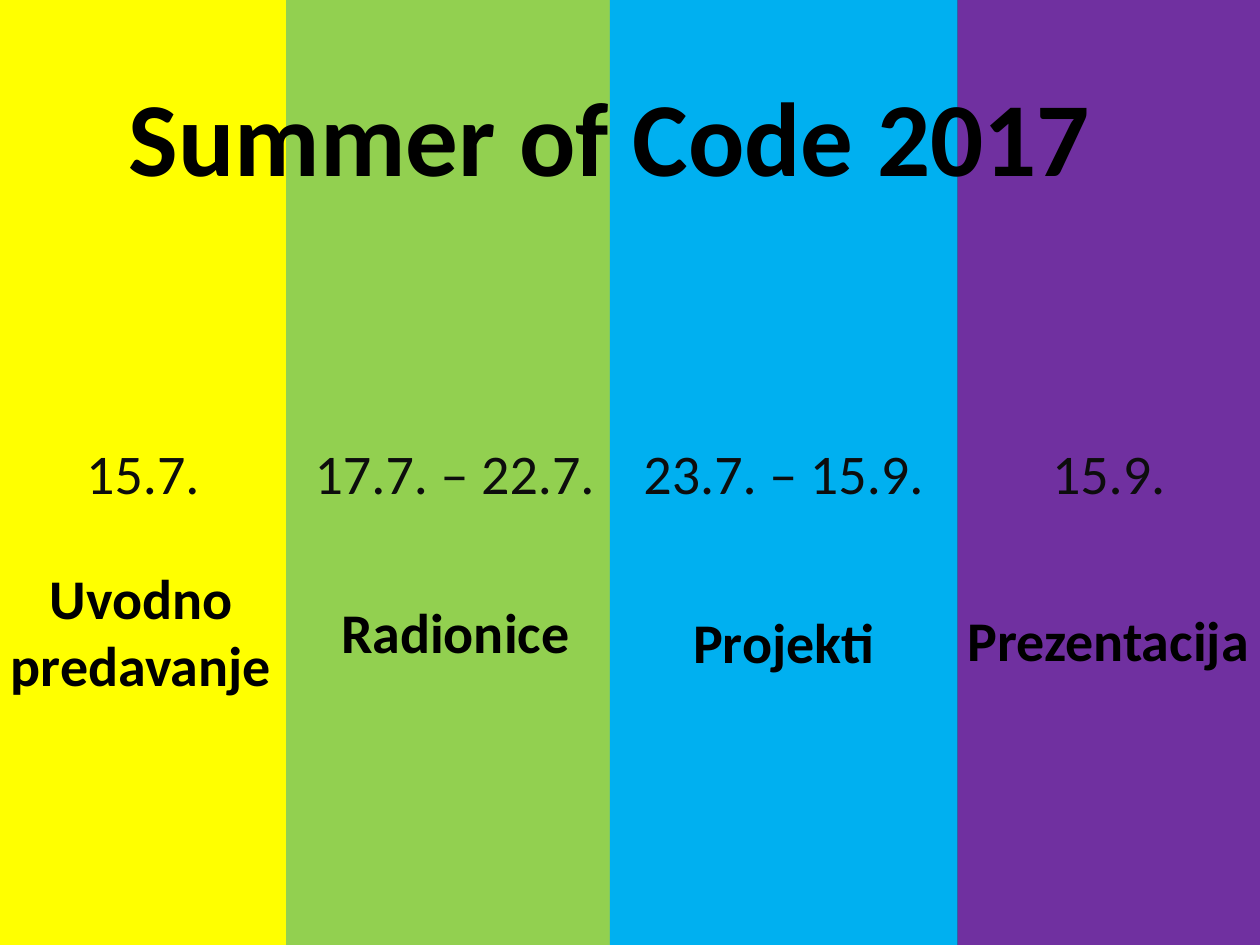
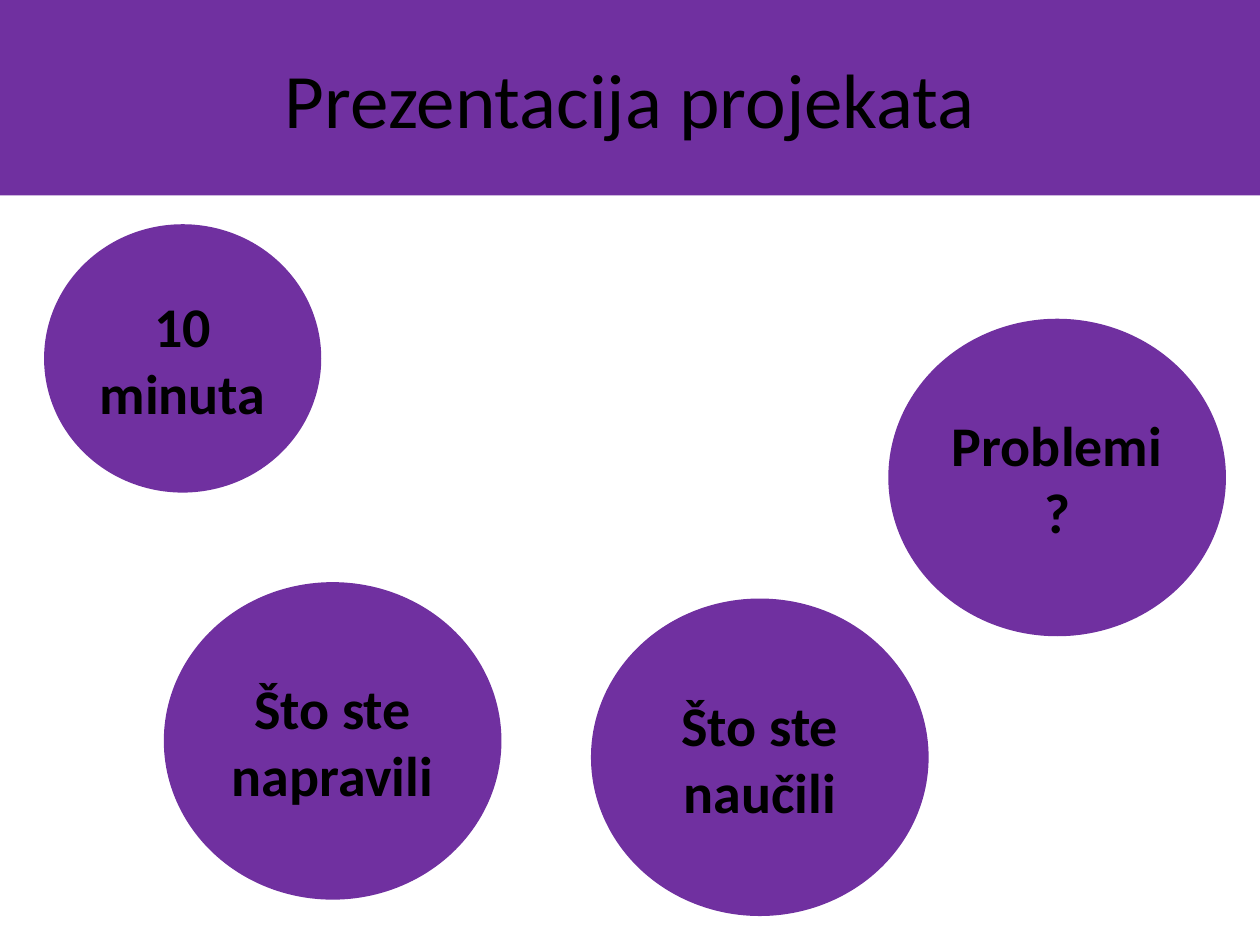
from dataclasses import dataclass

from pptx import Presentation
from pptx.dml.color import RGBColor
from pptx.enum.shapes import MSO_SHAPE
from pptx.enum.text import MSO_ANCHOR, MSO_AUTO_SIZE, PP_ALIGN
from pptx.util import Inches, Pt

RECT, OVAL = MSO_SHAPE.RECTANGLE, MSO_SHAPE.OVAL
MIDDLE, CENTER = MSO_ANCHOR.MIDDLE, PP_ALIGN.CENTER
FIT_SHAPE, NO_FIT = MSO_AUTO_SIZE.SHAPE_TO_FIT_TEXT, MSO_AUTO_SIZE.NONE
TITLE_ONLY = 5


@dataclass(frozen=True)
class Theme:
    font: str = "Calibri"
    black: str = "000000"
    date: str = "0D0D0D"
    dark: str = "262626"
    white: str = "FFFFFF"
    yellow: str = "FFFF00"
    green: str = "92D050"
    blue: str = "00B0F0"
    purple: str = "7030A0"
    cover_size: int = 60
    title_size: int = 44
    text_size: int = 32


THEME = Theme()


@dataclass(frozen=True)
class Box:
    left: float
    top: float
    width: float
    height: float

    def emu(self) -> tuple:
        return tuple(Inches(v) for v in (self.left, self.top, self.width, self.height))


@dataclass(frozen=True)
class Phase:
    date: str
    color: str
    band: Box
    lines: tuple
    label: Box


@dataclass(frozen=True)
class Bubble:
    text: str
    box: Box


PHASES = (
    Phase("15.7.", THEME.yellow, Box(0, 0, 2.27, 7.5),
          ("Uvodno", "predavanje"), Box(-0.02, 4.42, 2.28, 1.18)),
    Phase("17.7. – 22.7.", THEME.green, Box(2.27, 0, 2.68, 7.5),
          ("Radionice",), Box(2.6, 4.69, 2.03, 0.64)),
    Phase("23.7. – 15.9.", THEME.blue, Box(4.84, 0, 2.76, 7.5),
          ("Projekti",), Box(5.39, 4.77, 1.66, 0.64)),
    Phase("15.9.", THEME.purple, Box(7.6, 0, 2.4, 7.5),
          ("Prezentacija",), Box(7.57, 4.76, 2.45, 0.64)),
)

BUBBLES = (
    Bubble("10 minuta", Box(0.35, 1.78, 2.2, 2.13)),
    Bubble("Što ste napravili", Box(1.3, 4.62, 2.68, 2.52)),
    Bubble("Što ste naučili", Box(4.69, 4.75, 2.68, 2.52)),
    Bubble("Problemi?", Box(7.05, 2.53, 2.68, 2.52)),
)


def paint(fill, color: str) -> None:
    fill.solid()
    fill.fore_color.rgb = RGBColor.from_string(color)


def write(tf, lines: tuple, size: int = THEME.text_size,
          color: str = THEME.black, bold: bool = True) -> None:
    for i, line in enumerate(lines):
        p = tf.add_paragraph() if i else tf.paragraphs[0]
        p.alignment = CENTER
        r = p.add_run()
        r.text = line
        r.font.name = THEME.font
        r.font.size = Pt(size)
        r.font.bold = bold
        r.font.color.rgb = RGBColor.from_string(color)


def add_slide(prs, background: str):
    slide = prs.slides.add_slide(prs.slide_layouts[TITLE_ONLY])
    paint(slide.background.fill, background)
    return slide


def set_title(slide, text: str, box: Box, size: int, bold: bool):
    sp = slide.shapes.title
    sp.left, sp.top, sp.width, sp.height = box.emu()
    tf = sp.text_frame
    tf.auto_size = NO_FIT
    tf.vertical_anchor = MIDDLE
    write(tf, (text,), size, bold=bold)
    return sp


def add_filled(slide, kind, box: Box, fill: str, text: str,
               color: str = THEME.black, bold: bool = True) -> None:
    sp = slide.shapes.add_shape(kind, *box.emu())
    sp.shadow.inherit = False
    paint(sp.fill, fill)
    sp.line.fill.background()
    tf = sp.text_frame
    tf.word_wrap = True
    tf.vertical_anchor = MIDDLE
    write(tf, (text,), color=color, bold=bold)


def add_label(slide, box: Box, lines: tuple) -> None:
    tf = slide.shapes.add_textbox(*box.emu()).text_frame
    tf.word_wrap = False
    tf.auto_size = FIT_SHAPE
    write(tf, lines)


def build_schedule(prs) -> None:
    slide = add_slide(prs, THEME.dark)
    for phase in PHASES:
        add_filled(slide, RECT, phase.band, phase.color, phase.date, THEME.date, False)
    for phase in PHASES:
        add_label(slide, phase.label, phase.lines)
    title = set_title(slide, "Summer of Code 2017", Box(0.34, 0.44, 9, 1.25),
                      THEME.cover_size, True)
    title.element.getparent().append(title.element)


def build_presentations(prs) -> None:
    slide = add_slide(prs, THEME.white)
    title = set_title(slide, "Prezentacija projekata", Box(0, 0, 10, 1.55),
                      THEME.title_size, False)
    paint(title.fill, THEME.purple)
    for bubble in BUBBLES:
        add_filled(slide, OVAL, bubble.box, THEME.purple, bubble.text)


def main() -> None:
    prs = Presentation()
    prs.slide_width, prs.slide_height = Inches(10), Inches(7.5)
    build_schedule(prs)
    build_presentations(prs)
    prs.save("out.pptx")


if __name__ == "__main__":
    main()
